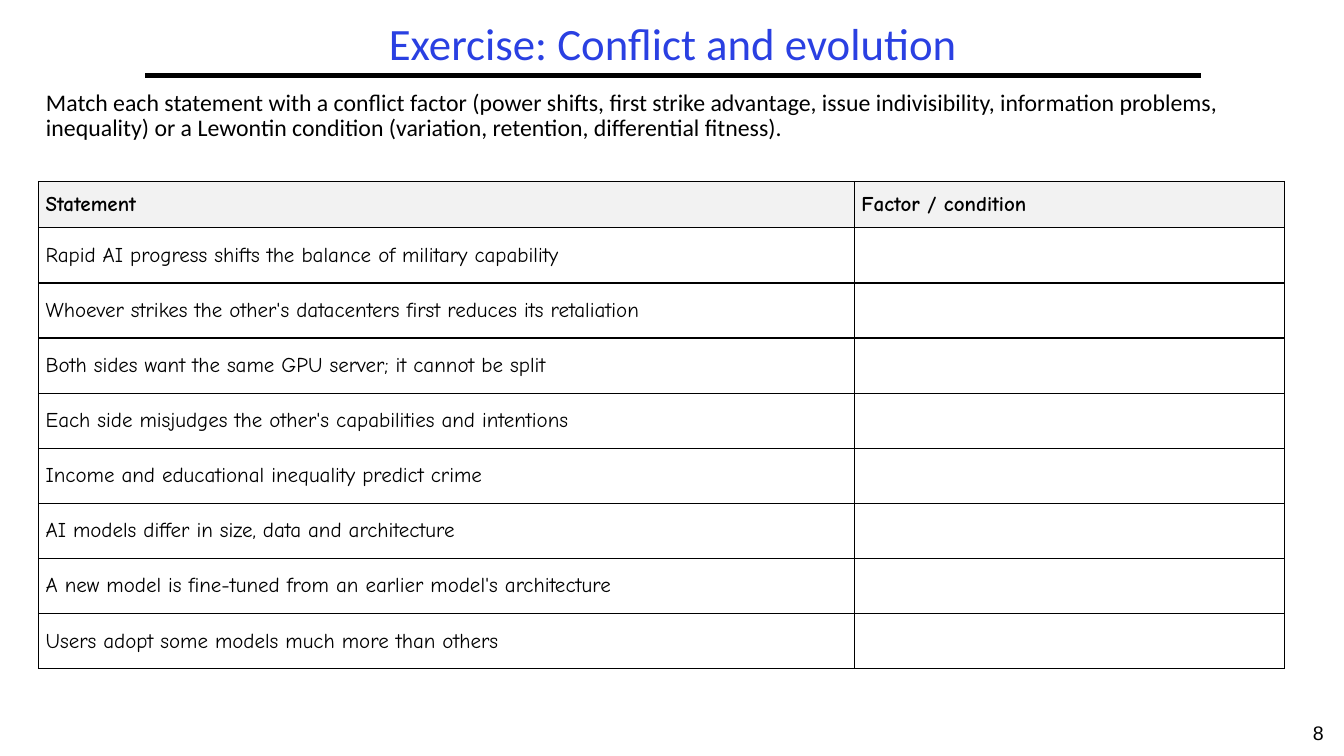
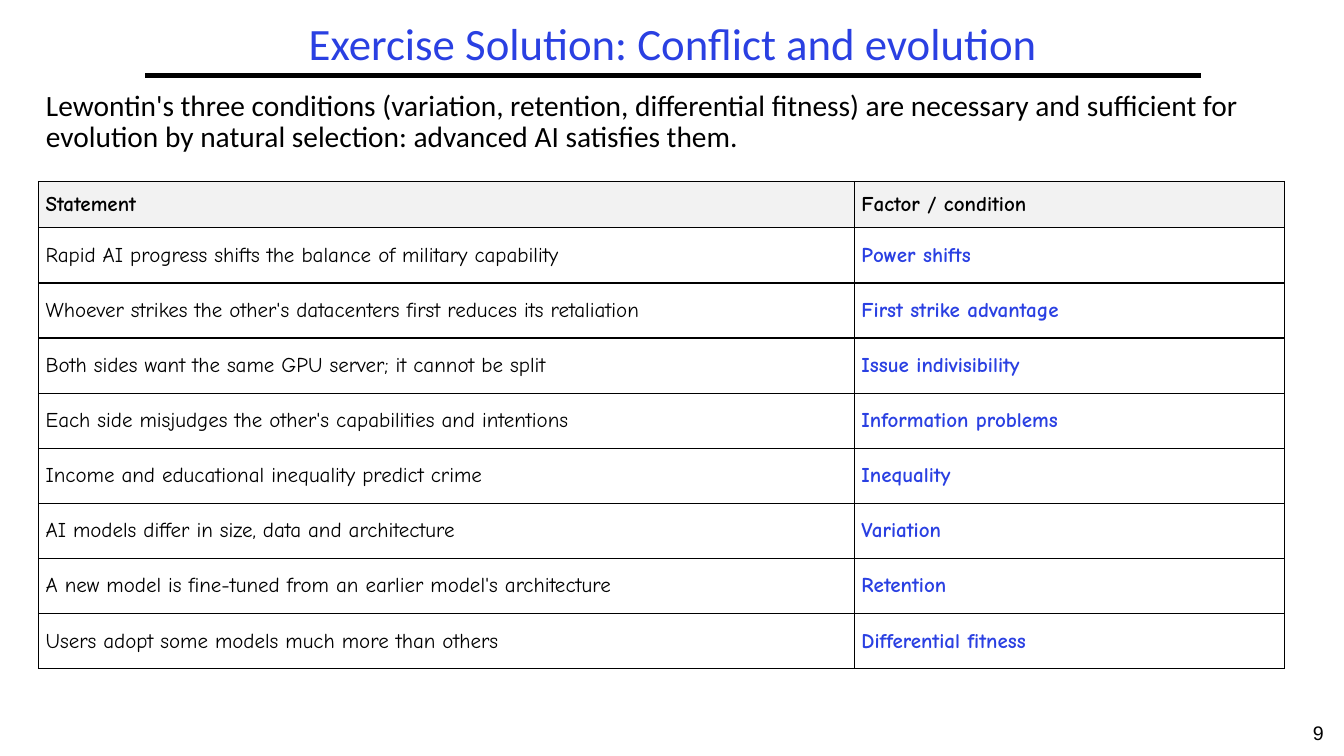
import dataclasses

import lxml.etree
import pptx
import pptx.dml.color
import pptx.enum.shapes
import pptx.enum.text
import pptx.oxml.ns
import pptx.util

Cm = pptx.util.Cm
Pt = pptx.util.Pt
RGB = pptx.dml.color.RGBColor.from_string
ALIGN = pptx.enum.text.PP_ALIGN
ANCHOR = pptx.enum.text.MSO_ANCHOR
qn = pptx.oxml.ns.qn


@dataclasses.dataclass(frozen=True)
class Theme:
    ink: str = "000000"
    accent: str = "2A40E2"
    header_fill: str = "F2F2F2"
    body_fill: str = "FFFFFF"
    text_font: str = "Calibri"
    table_font: str = "Comic Neue"
    number_font: str = "Arial"
    title_size: int = 32
    question_size: int = 17
    solution_size: int = 21
    table_size: int = 15
    number_size: int = 14
    rule_width: int = 3
    border_width: int = 1


THEME = Theme()

# Boxes are left, top, width, height in centimetres.
TITLE_BOX = (3.66, 0.43, 26.6, 1.47)
INTRO_BOX = (0.91, 2.16, 31.95, 2.41)
TABLE_BOX = (0.97, 4.57, 31.4, 12.29)
NUMBER_BOX = (32.59, 18.03, 1.27, 1.02)

STATEMENT_WIDTH = 20.56
HEADER_HEIGHT = 1.17
FIRST_NUMBER = 8

HEADINGS = ("Statement", "Factor / condition")
MATCHES = (
    ("Rapid AI progress shifts the balance of military capability", "Power shifts"),
    ("Whoever strikes the other's datacenters first reduces its retaliation",
     "First strike advantage"),
    ("Both sides want the same GPU server; it cannot be split", "Issue indivisibility"),
    ("Each side misjudges the other's capabilities and intentions", "Information problems"),
    ("Income and educational inequality predict crime", "Inequality"),
    ("AI models differ in size, data and architecture", "Variation"),
    ("A new model is fine-tuned from an earlier model's architecture", "Retention"),
    ("Users adopt some models much more than others", "Differential fitness"),
)
EXERCISES = (
    {
        "title": "Exercise: Conflict and evolution",
        "intro": "Match each statement with a conflict factor (power shifts, first strike "
                 "advantage, issue indivisibility, information problems, inequality) or a "
                 "Lewontin condition (variation, retention, differential fitness).",
        "intro_size": THEME.question_size,
        "solved": False,
    },
    {
        "title": "Exercise Solution: Conflict and evolution",
        "intro": "Lewontin's three conditions (variation, retention, differential fitness) "
                 "are necessary and sufficient for evolution by natural selection: advanced "
                 "AI satisfies them.",
        "intro_size": THEME.solution_size,
        "solved": True,
    },
)


def apply_format(target, values):
    for attribute, value in values.items():
        setattr(target, attribute, value)


def style_font(font, name, size, color=THEME.ink, bold=False):
    apply_format(font, {"name": name, "size": Pt(size), "bold": bold})
    font.color.rgb = RGB(color)


def add_text(slide, box, text, font, paragraph_format, anchor=ANCHOR.TOP):
    frame = slide.shapes.add_textbox(*map(Cm, box)).text_frame
    apply_format(frame, {"word_wrap": True, "vertical_anchor": anchor})
    paragraph = frame.paragraphs[0]
    apply_format(paragraph, paragraph_format)
    run = paragraph.add_run()
    run.text = text
    style_font(run.font, **font)


def add_title(slide, box, text):
    """Place the title with the rule along the bottom of its box."""
    left, top, width, height = box
    bottom = top + height
    rule = slide.shapes.add_connector(
        pptx.enum.shapes.MSO_CONNECTOR.STRAIGHT,
        *map(Cm, (left, bottom, left + width, bottom)))
    rule.line.color.rgb = RGB(THEME.ink)
    rule.line.width = Pt(THEME.rule_width)
    lxml.etree.SubElement(rule._element.spPr, qn("a:effectLst"))
    add_text(slide, box, text,
             {"name": THEME.text_font, "size": THEME.title_size, "color": THEME.accent},
             {"alignment": ALIGN.CENTER, "line_spacing": 0.9}, ANCHOR.MIDDLE)


def add_intro(slide, box, text, size):
    add_text(slide, box, text, {"name": THEME.text_font, "size": size},
             {"alignment": ALIGN.LEFT, "line_spacing": 0.9})


def add_slide_number(slide, box, number):
    add_text(slide, box, str(number),
             {"name": THEME.number_font, "size": THEME.number_size},
             {"alignment": ALIGN.CENTER})


def add_borders(cell):
    properties = cell._tc.get_or_add_tcPr()
    for position, side in enumerate(("a:lnL", "a:lnR", "a:lnT", "a:lnB")):
        border = lxml.etree.Element(qn(side), w=str(Pt(THEME.border_width)))
        fill = lxml.etree.SubElement(border, qn("a:solidFill"))
        lxml.etree.SubElement(fill, qn("a:srgbClr"), val=THEME.ink)
        properties.insert(position, border)


def fill_cell(cell, text, fill, color, bold):
    apply_format(cell, {
        "text": text, "vertical_anchor": ANCHOR.MIDDLE,
        "margin_left": Cm(0.18), "margin_right": Cm(0.18),
        "margin_top": Cm(0.08), "margin_bottom": Cm(0.08),
    })
    style_font(cell.text_frame.paragraphs[0].font,
               THEME.table_font, THEME.table_size, color, bold)
    cell.fill.solid()
    cell.fill.fore_color.rgb = RGB(fill)
    add_borders(cell)


def add_match_table(slide, box, solved):
    """Pair statements with their factors, left empty unless solved."""
    width, height = box[2:]
    table = slide.shapes.add_table(
        len(MATCHES) + 1, len(HEADINGS), *map(Cm, box)).table
    table.horz_banding = False
    for column, column_width in zip(
            table.columns, (STATEMENT_WIDTH, width - STATEMENT_WIDTH)):
        column.width = Cm(column_width)
    match_height = (height - HEADER_HEIGHT) / len(MATCHES)
    for index, row in enumerate(table.rows):
        row.height = Cm(match_height if index else HEADER_HEIGHT)

    for column, heading in enumerate(HEADINGS):
        fill_cell(table.cell(0, column), heading, THEME.header_fill, THEME.ink, True)
    for row, (statement, factor) in enumerate(MATCHES, start=1):
        fill_cell(table.cell(row, 0), statement, THEME.body_fill, THEME.ink, False)
        fill_cell(table.cell(row, 1), factor if solved else "",
                  THEME.body_fill, THEME.accent, True)


def add_exercise_slide(deck, number, title, intro, intro_size, solved):
    slide = deck.slides.add_slide(deck.slide_layouts[6])
    add_title(slide, TITLE_BOX, title)
    add_intro(slide, INTRO_BOX, intro, intro_size)
    add_match_table(slide, TABLE_BOX, solved)
    add_slide_number(slide, NUMBER_BOX, number)


def main():
    deck = pptx.Presentation()
    apply_format(deck, {"slide_width": Cm(33.87), "slide_height": Cm(19.05)})
    for number, exercise in enumerate(EXERCISES, start=FIRST_NUMBER):
        add_exercise_slide(deck, number, **exercise)
    deck.save("out.pptx")


if __name__ == "__main__":
    main()
